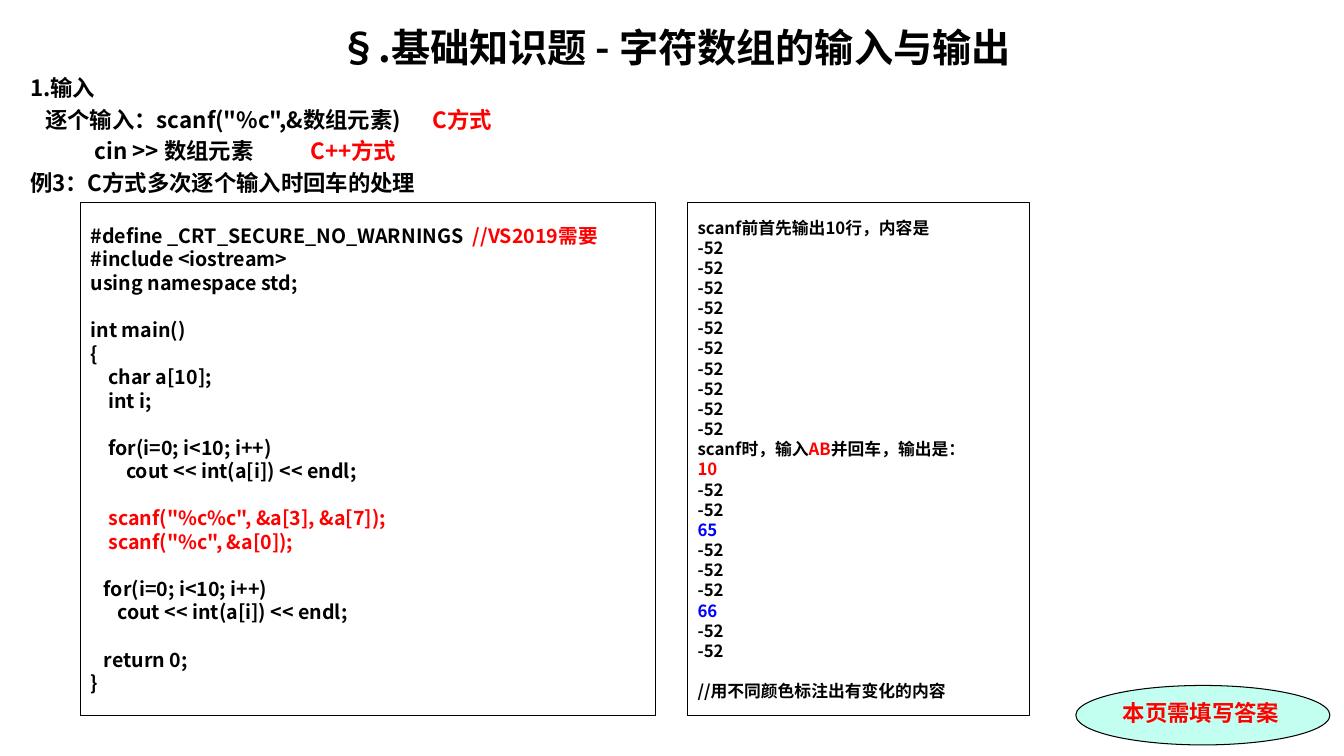
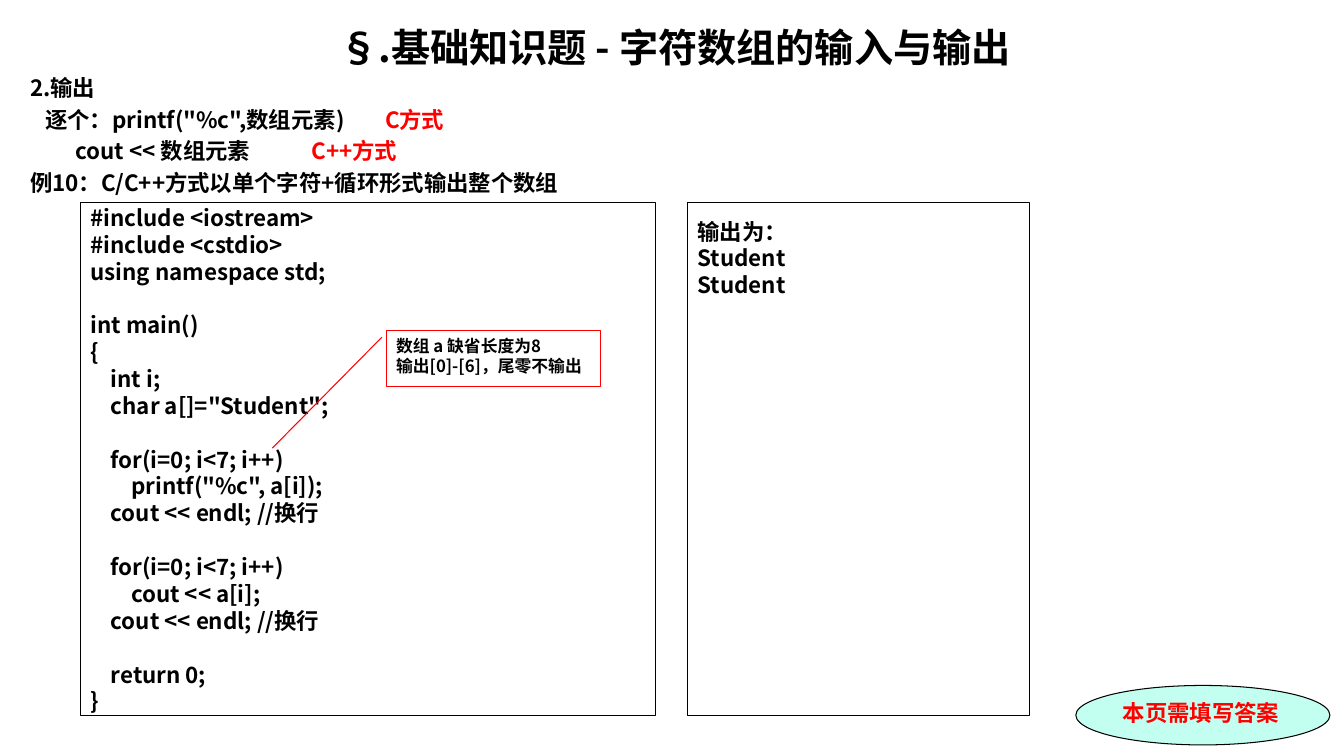
from dataclasses import dataclass

from lxml.etree import SubElement
from pptx import Presentation
from pptx.dml.color import RGBColor
from pptx.enum.shapes import MSO_SHAPE as Shape
from pptx.enum.text import MSO_ANCHOR as Anchor, PP_ALIGN as Align
from pptx.oxml.ns import qn
from pptx.util import Inches, Pt


@dataclass(frozen=True)
class Theme:
    black: str = "000000"
    red: str = "FF0000"
    blue: str = "0000FF"
    mint: str = "C2FFF0"
    font: str = "Noto Sans CJK SC"
    badge_font: str = "Times New Roman"
    title: int = 28
    body: int = 16
    code: int = 14
    small: int = 12
    leading: float = 1.2
    outline: float = 0.75


T = Theme()


def write(frame, lines, size, font=T.font, color=T.black, anchor=Anchor.TOP,
          title=None, gap=0.0, tabs=None):
    """Write lines, each a string or a tuple of strings and (text, colour) runs.

    An empty line becomes space before the next one; gap is a share of the size.
    title is a centred first line, and tabs maps a line number to its tab stops.
    """
    frame.word_wrap = True
    frame.vertical_anchor = anchor
    if title:
        lines = [title, *lines]
    paragraph, skipped = None, 0
    for number, line in enumerate(lines):
        if not line:
            skipped += 1
            continue
        is_title = bool(title) and number == 0
        line_size = T.title if is_title else size
        first = paragraph is None
        paragraph = frame.paragraphs[0] if first else frame.add_paragraph()
        stops = (tabs or {}).get(number, ())
        if stops:
            tab_list = SubElement(paragraph._p.get_or_add_pPr(), qn("a:tabLst"))
            for stop in stops:
                SubElement(tab_list, qn("a:tab"), pos=str(Inches(stop)), algn="l")
        paragraph.alignment = Align.CENTER if is_title else Align.LEFT
        paragraph.line_spacing = Pt(line_size * T.leading)
        if not first:
            paragraph.space_before = Pt(size * (gap + skipped * T.leading))
        skipped = 0
        for part in (line,) if isinstance(line, str) else line:
            text, run_color = (part, color) if isinstance(part, str) else part
            run = paragraph.add_run()
            run.text = text
            run.font.size = Pt(line_size)
            run.font.bold = True
            run.font.name = font
            run.font.color.rgb = RGBColor.from_string(run_color)
            SubElement(run._r.get_or_add_rPr(), qn("a:ea"), typeface=T.font)


def add_panel(slide, kind, box, fill=None, line=T.black):
    panel = slide.shapes.add_shape(kind, *map(Inches, box))
    panel.shadow.inherit = False
    if fill:
        panel.fill.solid()
        panel.fill.fore_color.rgb = RGBColor.from_string(fill)
    else:
        panel.fill.background()
    panel.line.color.rgb = RGBColor.from_string(line)
    panel.line.width = Pt(T.outline)
    return panel


TITLE = "§.基础知识题 - 字符数组的输入与输出"
BADGE = "本页需填写答案"
C_STYLE = ("\tC方式", T.red)
CPP_STYLE = ("\tC++方式", T.red)
UNCHANGED = "-52"

pages = [
    {
        "intro": [
            "1.输入",
            ("\t逐个输入：scanf(\"%c\",&数组元素)", C_STYLE),
            ("\tcin >> 数组元素", CPP_STYLE),
            "例3：C方式多次逐个输入时回车的处理",
        ],
        "tabs": {2: (0.15, 3.99), 3: (0.64, 2.78)},
        "code_size": T.code,
        "code": [
            ("#define _CRT_SECURE_NO_WARNINGS", ("  //VS2019需要", T.red)),
            "#include <iostream>",
            "using namespace std;",
            "",
            "int main()",
            "{",
            "    char a[10];",
            "    int i;",
            "",
            "    for(i=0; i<10; i++)",
            "        cout << int(a[i]) << endl;",
            "",
            (("    scanf(\"%c%c\", &a[3], &a[7]);", T.red),),
            (("    scanf(\"%c\", &a[0]);", T.red),),
            "",
            "   for(i=0; i<10; i++)",
            "      cout << int(a[i]) << endl;",
            "",
            "   return 0;",
            "}",
        ],
        "answer_size": T.small,
        "answer_anchor": Anchor.MIDDLE,
        "answer": [
            "scanf前首先输出10行，内容是",
            *[UNCHANGED] * 10,
            ("scanf时，输入", ("AB", T.red), "并回车，输出是："),
            (("10", T.red),),
            *[UNCHANGED] * 2,
            (("65", T.blue),),
            *[UNCHANGED] * 3,
            (("66", T.blue),),
            *[UNCHANGED] * 2,
            "",
            "//用不同颜色标注出有变化的内容",
        ],
        "remark": None,
    },
    {
        "intro": [
            "2.输出",
            ("\t逐个：printf(\"%c\",数组元素)", C_STYLE),
            ("\tcout << 数组元素", CPP_STYLE),
            "例10：C/C++方式以单个字符+循环形式输出整个数组",
        ],
        "tabs": {2: (0.15, 3.52), 3: (0.45, 2.79)},
        "code_size": T.body,
        "code": [
            "#include <iostream>",
            "#include <cstdio>",
            "using namespace std;",
            "",
            "int main()",
            "{",
            "    int i;",
            "    char a[]=\"Student\";",
            "",
            "    for(i=0; i<7; i++)",
            "        printf(\"%c\", a[i]);",
            "    cout << endl; //换行",
            "",
            "    for(i=0; i<7; i++)",
            "        cout << a[i];",
            "    cout << endl; //换行",
            "",
            "    return 0;",
            "}",
        ],
        "answer_size": T.body,
        "answer_anchor": Anchor.TOP,
        "answer": ["输出为：", "Student", "Student"],
        "remark": ["数组 a 缺省长度为8", "输出[0]-[6]，尾零不输出"],
    },
]

deck = Presentation()
deck.slide_width, deck.slide_height = Inches(13.33), Inches(7.5)

for page in pages:
    slide = deck.slides.add_slide(deck.slide_layouts[6])

    intro = slide.shapes.add_textbox(*map(Inches, (0.2, 0.18, 12.99, 7.09)))
    write(intro.text_frame, page["intro"], T.body, title=TITLE, gap=0.2,
          tabs=page["tabs"])

    badge = add_panel(slide, Shape.OVAL, (10.67, 6.8, 2.52, 0.59), fill=T.mint)
    write(badge.text_frame, [BADGE], T.body, font=T.badge_font, color=T.red)

    code = add_panel(slide, Shape.RECTANGLE, (0.8, 2.01, 5.7, 5.09))
    write(code.text_frame, page["code"], page["code_size"], anchor=Anchor.MIDDLE)

    answer = add_panel(slide, Shape.RECTANGLE, (6.82, 2.01, 3.39, 5.09))
    answer.text_frame.margin_top = answer.text_frame.margin_bottom = Inches(0.15)
    write(answer.text_frame, page["answer"], page["answer_size"],
          anchor=page["answer_anchor"])

    if page["remark"]:
        remark = add_panel(slide, Shape.LINE_CALLOUT_1, (3.83, 3.28, 2.13, 0.55),
                           line=T.red)
        for index, value in enumerate((0.12, -0.02, 2.12, -0.53)):
            remark.adjustments[index] = value
        remark.text_frame.margin_right = 0
        write(remark.text_frame, page["remark"], T.small)

deck.save("out.pptx")
